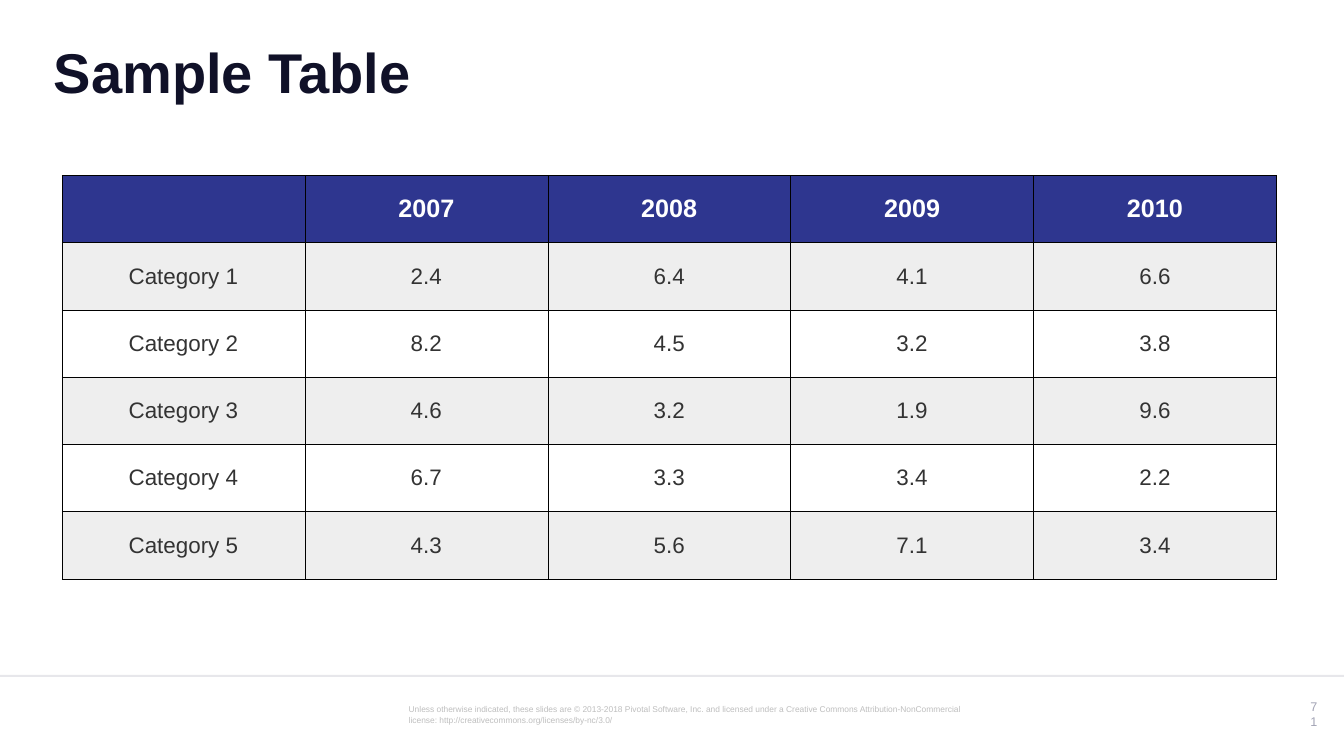
from lxml.etree import SubElement
from pptx import Presentation
from pptx.dml.color import RGBColor
from pptx.enum.shapes import MSO_SHAPE
from pptx.enum.text import MSO_ANCHOR, PP_ALIGN
from pptx.oxml.ns import qn
from pptx.util import Inches, Pt

HEADER = ["", "2007", "2008", "2009", "2010"]
ROWS = [
    ["Category 1", "2.4", "6.4", "4.1", "6.6"],
    ["Category 2", "8.2", "4.5", "3.2", "3.8"],
    ["Category 3", "4.6", "3.2", "1.9", "9.6"],
    ["Category 4", "6.7", "3.3", "3.4", "2.2"],
    ["Category 5", "4.3", "5.6", "7.1", "3.4"],
]
LICENSE = (
    "Unless otherwise indicated, these slides are © 2013-2018 Pivotal Software, Inc. "
    "and licensed under a Creative Commons Attribution-NonCommercial license: "
    "http://creativecommons.org/licenses/by-nc/3.0/"
)


def paint(color_format, color):
    """Set a solid fill or a font to a hex colour."""
    color_format.rgb = RGBColor.from_string(color)


def write(frame, text, size, color, bold=False, align=PP_ALIGN.LEFT):
    """Write one formatted paragraph into a text frame."""
    para = frame.paragraphs[0]
    para.alignment = align
    span = para.add_run()
    span.text = text
    span.font.name = "Arial"
    span.font.size = Pt(size)
    span.font.bold = bold
    paint(span.font.color, color)


def add_text(page, box, text, anchor=MSO_ANCHOR.TOP, **style):
    """Add a wrapping text box with even insets."""
    frame = page.shapes.add_textbox(*map(Inches, box)).text_frame
    frame.word_wrap = True
    frame.vertical_anchor = anchor
    frame.margin_left = frame.margin_right = Inches(0.13)
    frame.margin_top = frame.margin_bottom = Inches(0.13)
    write(frame, text, **style)


def outline_cell(cell, color, width):
    """Draw a solid border on all four sides of a cell."""
    properties = cell._tc.get_or_add_tcPr()
    for position, side in enumerate(("a:lnL", "a:lnR", "a:lnT", "a:lnB")):
        line = SubElement(properties, qn(side), w=str(Pt(width)))
        fill = SubElement(line, qn("a:solidFill"))
        SubElement(fill, qn("a:srgbClr"), val=color)
        properties.insert(position, line)


def add_data_table(page, box, header, rows):
    """Add the table with a dark header and alternating row fills."""
    grid = [header, *rows]
    left, top, width, height = map(Inches, box)
    table = page.shapes.add_table(len(grid), len(header), left, top, width, height).table
    for row_index, values in enumerate(grid):
        if row_index == 0:
            fill, style = "2E368F", dict(size=36, color="FFFFFF", bold=True)
        else:
            fill = "EEEEEE" if row_index % 2 else "FFFFFF"
            style = dict(size=32, color="333333")
        for column_index, value in enumerate(values):
            cell = table.cell(row_index, column_index)
            cell.vertical_anchor = MSO_ANCHOR.MIDDLE
            cell.margin_left = cell.margin_right = Inches(0.04)
            cell.margin_top = cell.margin_bottom = Inches(0.04)
            cell.fill.solid()
            paint(cell.fill.fore_color, fill)
            outline_cell(cell, "000000", 0.75)
            if value:
                write(cell.text_frame, value, align=PP_ALIGN.CENTER, **style)


def add_footer(page, box):
    """Add the rule, license line and page number inside the footer box."""
    left, top, width, _ = box
    rule = page.shapes.add_shape(
        MSO_SHAPE.RECTANGLE, *map(Inches, (left, top, width, 0.04))
    )
    rule.shadow.inherit = False
    rule.line.fill.background()
    rule.fill.solid()
    paint(rule.fill.fore_color, "A3A4B5")
    tint = rule._element.spPr.find(".//" + qn("a:srgbClr"))
    SubElement(tint, qn("a:alpha"), val="26000")
    add_text(page, (left + 7.98, top + 0.46, 11.71, 0.68), LICENSE,
             size=12, color="BEBEBE")
    add_text(page, (left + 25.75, top + 0.49, 0.52, 0.57), "71",
             anchor=MSO_ANCHOR.MIDDLE, size=18, color="A3A4B5", align=PP_ALIGN.RIGHT)


def main():
    """Build and save the table slide."""
    deck = Presentation()
    deck.slide_width, deck.slide_height = Inches(26.67), Inches(15)
    page = deck.slides.add_slide(deck.slide_layouts[6])
    add_footer(page, (0, 13.39, 26.67, 1.61))
    add_text(page, (0.94, 0.49, 24.79, 1.85), "Sample Table",
             anchor=MSO_ANCHOR.MIDDLE, size=80, color="101128", bold=True)
    add_data_table(page, (1.23, 3.48, 24.1, 8.01), HEADER, ROWS)
    deck.save("out.pptx")


if __name__ == "__main__":
    main()
